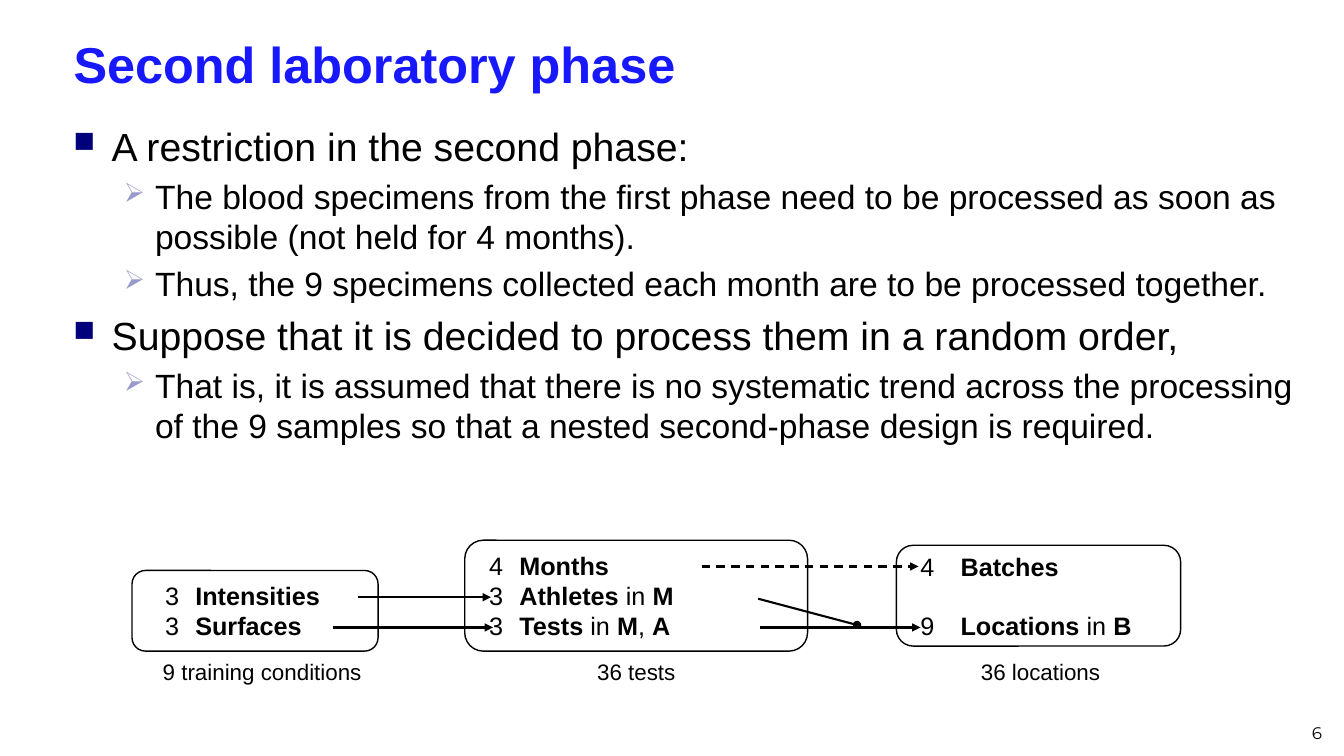
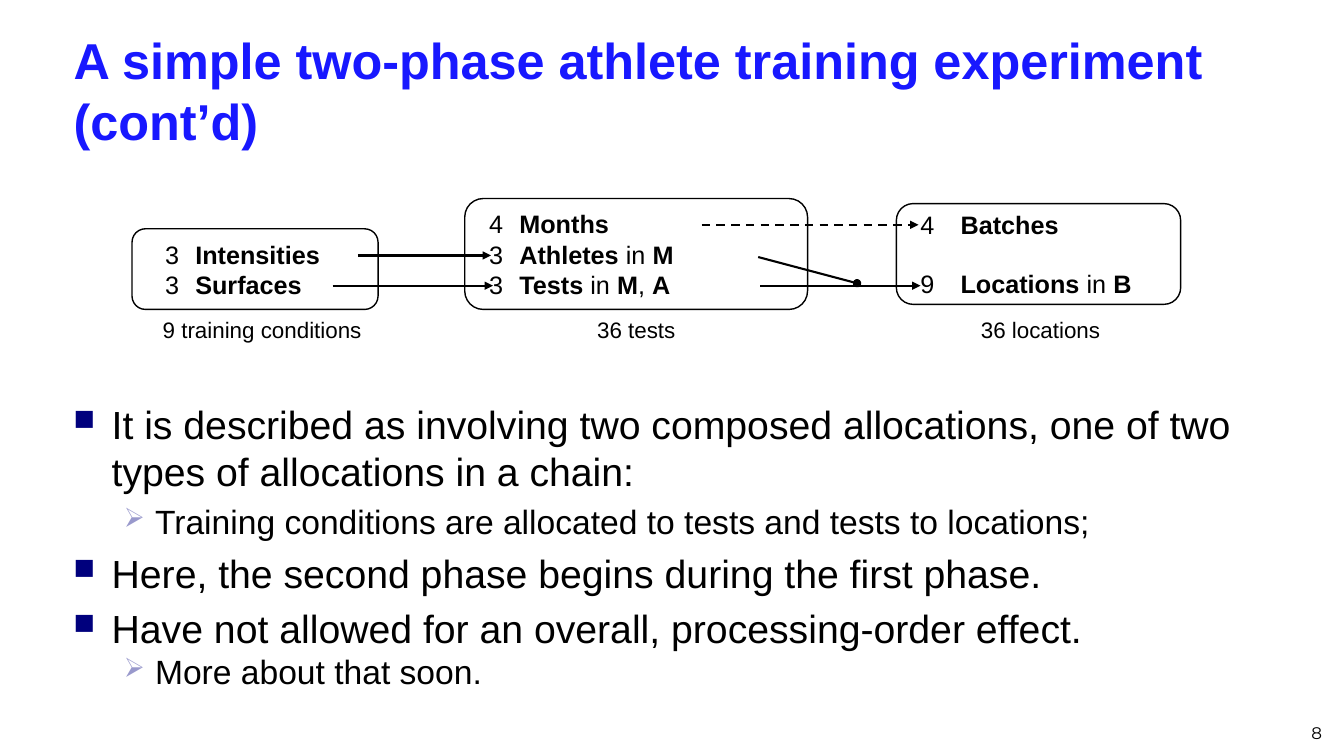
"""Build two slides on a two-phase athlete training experiment."""
import dataclasses

import lxml.etree
import pptx
import pptx.dml.color
import pptx.enum.dml
import pptx.enum.shapes
import pptx.enum.text
import pptx.oxml.ns
import pptx.util

ANCHOR = pptx.enum.text.MSO_ANCHOR
ALIGN = pptx.enum.text.PP_ALIGN


@dataclasses.dataclass(frozen=True)
class Theme:
    """Hold the colours, fonts, type sizes and grid cell."""
    cell: float = 0.1
    font: str = "Arial"
    foot: str = "Montserrat"
    blue: str = "1818FF"
    ink: str = "000000"
    head: int = 36
    item: int = 18
    note: int = 16
    page: int = 12
    thin: float = 1
    thick: float = 1.5
    lead: float = 1.15
    gap: float = 0.2
    levels: tuple = (
        (28, "■", "00007D", 75, 3.8, 3.8),
        (24, "➢", "9999CC", 80, 8.1, 3.1),
    )


def node(parent, tag, **attrs):
    """Add a drawing element to a parent."""
    name = pptx.oxml.ns.qn("a:" + tag)
    return lxml.etree.SubElement(parent, name, {k: str(v) for k, v in attrs.items()})


class Deck:
    """Draw styled elements on the current slide."""

    def __init__(self, theme):
        self.theme = theme
        self.show = pptx.Presentation()
        self.show.slide_width = pptx.util.Inches(13.33)
        self.show.slide_height = pptx.util.Inches(7.5)
        self.slide = None

    def grid(self, *cells):
        """Turn grid cells into lengths."""
        return [pptx.util.Inches(n * self.theme.cell) for n in cells]

    def run(self, para, text, size, color=None, bold=False, font=None):
        """Add one styled run."""
        run = para.add_run()
        run.text = text
        run.font.size = pptx.util.Pt(size)
        run.font.name = font or self.theme.font
        run.font.bold = bold
        run.font.color.rgb = pptx.dml.color.RGBColor.from_string(color or self.theme.ink)

    def indent(self, para, left, hang):
        """Set a hanging indent."""
        left, hang = self.grid(left, hang)
        props = para._p.get_or_add_pPr()
        props.set("marL", str(left))
        props.set("indent", str(-hang))
        return props

    def paras(self, frame, items):
        """Pair each item with its paragraph."""
        for n, item in enumerate(items):
            yield (frame.add_paragraph() if n else frame.paragraphs[0]), item

    def frame(self, area, anchor=ANCHOR.TOP):
        """Add a wrapped text box."""
        frame = self.slide.shapes.add_textbox(*self.grid(*area)).text_frame
        frame.word_wrap = True
        frame.vertical_anchor = anchor
        return frame

    def page(self, title, rows, number):
        """Start a slide with its title and page number."""
        self.slide = self.show.slides.add_slide(self.show.slide_layouts[5])
        head = self.slide.shapes.title
        head.left, head.top, head.width, head.height = self.grid(6.3, 2.3, 126, rows)
        frame = head.text_frame
        frame.word_wrap = True
        frame.auto_size = pptx.enum.text.MSO_AUTO_SIZE.NONE
        frame.vertical_anchor = ANCHOR.MIDDLE
        para = frame.paragraphs[0]
        para.alignment = ALIGN.LEFT
        self.run(para, title, self.theme.head, self.theme.blue, True)
        self.label(number, (101, 69.2, 31.1, 5), self.theme.page,
                   ALIGN.RIGHT, ANCHOR.BOTTOM, self.theme.foot)

    def label(self, text, area, size, align=ALIGN.CENTER, anchor=ANCHOR.TOP, font=None):
        """Add a one-line label."""
        para = self.frame(area, anchor).paragraphs[0]
        para.alignment = align
        self.run(para, text, size, font=font)

    def body(self, top, rows, items, tight=()):
        """Add a two-level bullet list."""
        frame = self.frame((6.3, top, 126, rows))
        for n, (para, (level, text)) in enumerate(self.paras(frame, items)):
            size, mark, color, share, left, hang = self.theme.levels[level]
            para.level = level
            props = self.indent(para, left, hang)
            if n and n not in tight:
                para.space_before = pptx.util.Pt(round(size * self.theme.gap, 2))
            node(node(props, "buClr"), "srgbClr", val=color)
            node(props, "buSzPct", val=share * 1000)
            node(props, "buChar", char=mark)
            self.run(para, text, size)

    def panel(self, area, lines, left, hang, skip=0):
        """Add a rounded box whose bold words stand between asterisks."""
        kind = pptx.enum.shapes.MSO_SHAPE.ROUNDED_RECTANGLE
        box = self.slide.shapes.add_shape(kind, *self.grid(*area))
        box.shadow.inherit = False
        box.fill.background()
        self.pen(box.line, self.theme.thin)
        frame = box.text_frame
        frame.word_wrap = True
        frame.vertical_anchor = ANCHOR.MIDDLE
        for n, (para, line) in enumerate(self.paras(frame, lines)):
            self.indent(para, left, hang)
            para.alignment = ALIGN.LEFT
            if n and skip:
                para.space_before = pptx.util.Pt(skip * self.theme.item * self.theme.lead)
            for k, text in enumerate(line.split("*")):
                self.run(para, text, self.theme.item, bold=k % 2 == 1)

    def pen(self, line, width):
        """Set a line's colour and width."""
        line.color.rgb = pptx.dml.color.RGBColor.from_string(self.theme.ink)
        line.width = pptx.util.Pt(width)

    def arrow(self, start, end, tip="triangle", dash=False):
        """Add a straight line with a tip."""
        kind = pptx.enum.shapes.MSO_CONNECTOR.STRAIGHT
        link = self.slide.shapes.add_connector(kind, *self.grid(*start, *end))
        self.pen(link.line, self.theme.thick)
        if dash:
            link.line.dash_style = pptx.enum.dml.MSO_LINE.DASH
        node(link.line._ln, "tailEnd", type=tip)
        node(link._element.spPr, "effectLst")

    def chain(self, top):
        """Draw the three linked panels."""
        first, second, third = (top + n for n in (2.6, 5.65, 8.65))
        self.arrow((35.5, second), (48.7, second))
        self.arrow((33, third), (48.9, third))
        self.panel((13.1, top + 3, 24.4, 8),
                   ("3\t*Intensities", "3\t*Surfaces"), 4.9, 3)
        self.panel((46.1, top, 34, 11),
                   ("4\t*Months", "3\t*Athletes *in *M", "3\t*Tests *in *M*, *A"), 3.9, 3)
        self.panel((88.9, top + 0.5, 28.2, 10),
                   ("4\t*Batches", "9\t*Locations* in *B"), 4.9, 4, skip=1)
        for left, text in ((13.1, "9 training conditions"), (50.2, "36 tests"),
                           (90.3, "36 locations")):
            self.label(text, (left, top + 11.2, 25.8, 3.7), self.theme.note)
        self.arrow((69.6, first), (91.1, first), dash=True)
        self.arrow((75.4, third), (91.3, third))
        self.arrow((75.2, top + 5.8), (85, top + 8.4), "oval")


def main():
    """Build and save the slides."""
    deck = Deck(Theme())
    deck.page("Second laboratory phase", 7.9, "6")
    deck.body(11.6, 43.3, (
        (0, "A restriction in the second phase:"),
        (1, "The blood specimens from the first phase need to be processed "
            "as soon as possible (not held for 4 months)."),
        (1, "Thus, the 9 specimens collected each month are to be processed together."),
        (0, "Suppose that it is decided to process them in a random order,"),
        (1, "That is, it is assumed that there is no systematic trend across the "
            "processing of the 9 samples so that a nested second-phase design is required."),
    ))
    deck.chain(53.6)

    deck.page("A simple two-phase athlete training experiment (cont’d)", 13.2, "8")
    deck.chain(19.7)
    deck.body(39.2, 35.1, (
        (0, "It is described as involving two composed allocations, "
            "one of two types of allocations in a chain:"),
        (1, "Training conditions are allocated to tests and tests to locations;"),
        (0, "Here, the second phase begins during the first phase."),
        (0, "Have not allowed for an overall, processing-order effect."),
        (1, "More about that soon."),
    ), tight=(4,))
    deck.show.save("out.pptx")


if __name__ == "__main__":
    main()
